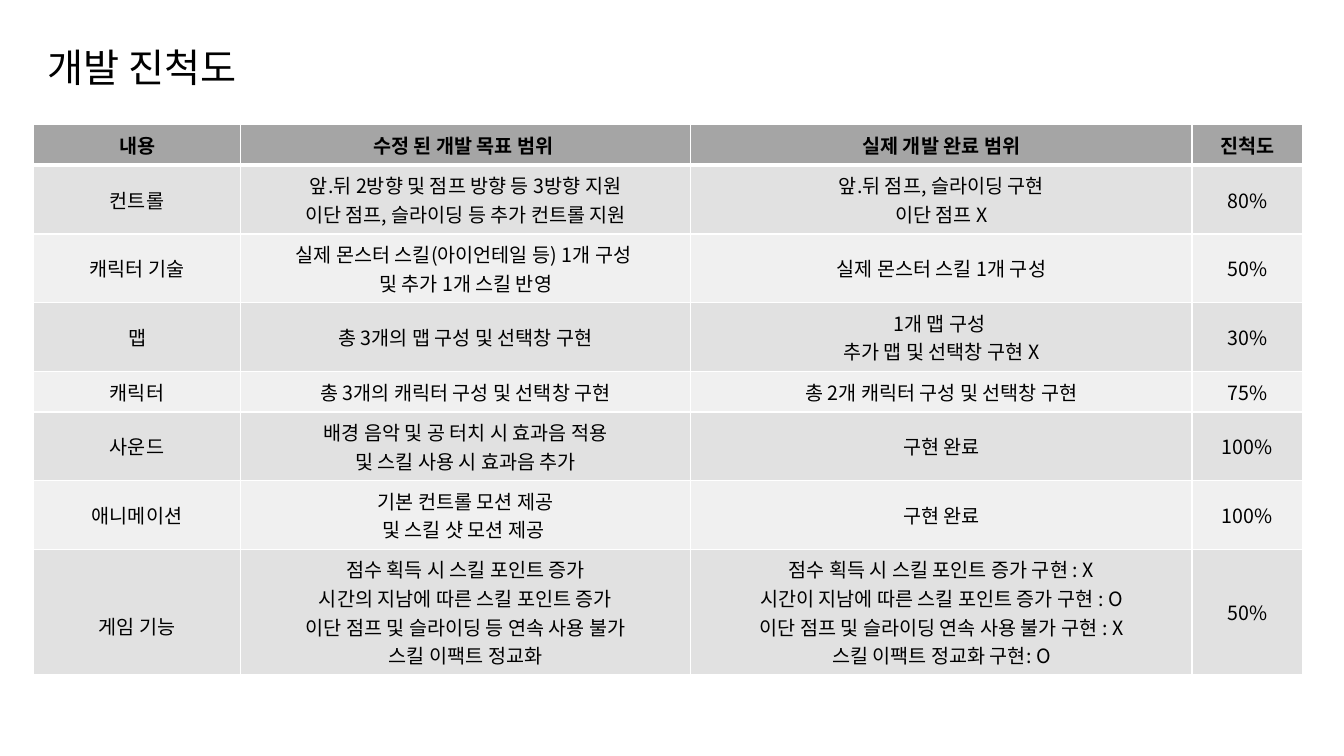
from lxml import etree
from pptx import Presentation, util as u
from pptx.dml.color import RGBColor
from pptx.enum import shapes, text
from pptx.oxml.ns import qn

BLACK = RGBColor(0x00, 0x00, 0x00)
WHITE = RGBColor(0xFF, 0xFF, 0xFF)
HEADER_GRAY = RGBColor(0xA5, 0xA5, 0xA5)
BANDS = RGBColor(0xF0, 0xF0, 0xF0), RGBColor(0xE1, 0xE1, 0xE1)

# All lengths are percent of the page width (columns) or height (rows).
MARGIN = 2.5
COLUMN_WIDTHS = 15.4, 33.5, 37.3, 8.2
LINE_ROWS, PADDING_ROWS = 3.75, 1.6

PROGRESS = [
    ("내용", "수정 된 개발 목표 범위 ", "실제 개발 완료 범위", "진척도"),
    ("컨트롤",
     "앞.뒤 2방향 및 점프 방향 등 3방향 지원\n이단 점프, 슬라이딩 등 추가 컨트롤 지원",
     "앞.뒤 점프, 슬라이딩 구현\n이단 점프 X", "80%"),
    ("캐릭터 기술",
     "실제 몬스터 스킬(아이언테일 등) 1개 구성 \n및 추가 1개 스킬 반영",
     "실제 몬스터 스킬 1개 구성", "50%"),
    ("맵", "총 3개의 맵 구성 및 선택창 구현",
     "1개 맵 구성 \n추가 맵 및 선택창 구현 X", "30%"),
    ("캐릭터", "총 3개의 캐릭터 구성 및 선택창 구현",
     "총 2개 캐릭터 구성 및 선택창 구현", "75%"),
    ("사운드",
     "배경 음악 및 공 터치 시 효과음 적용\n및 스킬 사용 시 효과음 추가",
     "구현 완료", "100%"),
    ("애니메이션", "기본 컨트롤 모션 제공\n및 스킬 샷 모션 제공 ",
     "구현 완료", "100%"),
    ("게임 기능",
     "점수 획득 시 스킬 포인트 증가\n시간의 지남에 따른 스킬 포인트 증가\n"
     "이단 점프 및 슬라이딩 등 연속 사용 불가\n스킬 이팩트 정교화",
     "점수 획득 시 스킬 포인트 증가 구현 : X\n시간이 지남에 따른 스킬 포인트 증가 구현 : O\n"
     "이단 점프 및 슬라이딩 연속 사용 불가 구현 : X\n스킬 이팩트 정교화 구현: O", "50%"),
]


class Painter:
    """Holds the deck's style and the current page."""

    font_name = "Noto Sans CJK KR"

    def __init__(self, deck):
        """Add a blank page to the deck."""
        self.deck = deck
        self.page = deck.slides.add_slide(deck.slide_layouts[6])

    def across(self, columns):
        """Turn grid columns into a length."""
        return u.Emu(round(self.deck.slide_width * columns / 100))

    def down(self, rows):
        """Turn grid rows into a length."""
        return u.Emu(round(self.deck.slide_height * rows / 100))

    def set_text(self, frame, words, size, align, bold=False):
        """Fill a text frame, one paragraph per line."""
        frame.text = words
        for para in frame.paragraphs:
            para.alignment = align
            font = para.font
            font.name, font.size, font.bold = self.font_name, u.Pt(size), bold
            font.color.rgb = BLACK
            etree.SubElement(font._element, qn("a:ea"), typeface=self.font_name)

    def title(self, words, left, top, width, height):
        """Add the page title in an unfilled rounded box."""
        box = self.page.shapes.add_shape(
            shapes.MSO_SHAPE.ROUNDED_RECTANGLE, self.across(left),
            self.down(top), self.across(width), self.down(height))
        box.shadow.inherit = False
        box.fill.background()
        box.line.fill.background()
        box.text_frame.vertical_anchor = text.MSO_ANCHOR.MIDDLE
        self.set_text(box.text_frame, words, 28, text.PP_ALIGN.LEFT)

    def border(self, cell, bottom):
        """Draw white edges round a cell; bottom is in points."""
        for side, points in zip("LRTB", (1, 1, 1, bottom)):
            line = etree.SubElement(cell._tc.get_or_add_tcPr(),
                                    qn(f"a:ln{side}"), w=str(u.Pt(points)))
            fill = etree.SubElement(line, qn("a:solidFill"))
            etree.SubElement(fill, qn("a:srgbClr"), val=str(WHITE))

    def table(self, records, left, top, widths):
        """Add a banded table whose rows fit their longest cell."""
        heights = [PADDING_ROWS + LINE_ROWS * max(len(words.split("\n")) for words in record)
                   for record in records]
        grid = self.page.shapes.add_table(
            len(records), len(widths), self.across(left), self.down(top),
            self.across(sum(widths)), self.down(sum(heights))).table
        for column, width in zip(grid.columns, widths):
            column.width = self.across(width)
        for index, (row, height, record) in enumerate(zip(grid.rows, heights, records)):
            row.height = self.down(height)
            header = index == 0
            for cell, words in zip(row.cells, record):
                self.set_text(cell.text_frame, words, 14, text.PP_ALIGN.CENTER, header)
                cell.vertical_anchor = text.MSO_ANCHOR.MIDDLE
                self.border(cell, 3 if header else 1)
                cell.fill.solid()
                cell.fill.fore_color.rgb = HEADER_GRAY if header else BANDS[index % 2]
        return grid


def main():
    """Build the development progress page."""
    deck = Presentation()
    deck.slide_width, deck.slide_height = u.Inches(13.33), u.Inches(7.5)
    painter = Painter(deck)
    painter.title("개발 진척도", MARGIN, 3.5, 55.2, 10.8)
    grid = painter.table(PROGRESS, MARGIN, 16.5, COLUMN_WIDTHS)
    # The last label sits half a line below the middle of its row.
    game_label = grid.cell(len(PROGRESS) - 1, 0)
    game_label.margin_top = painter.down(LINE_ROWS) + u.Inches(0.05)
    deck.save("out.pptx")


main()
